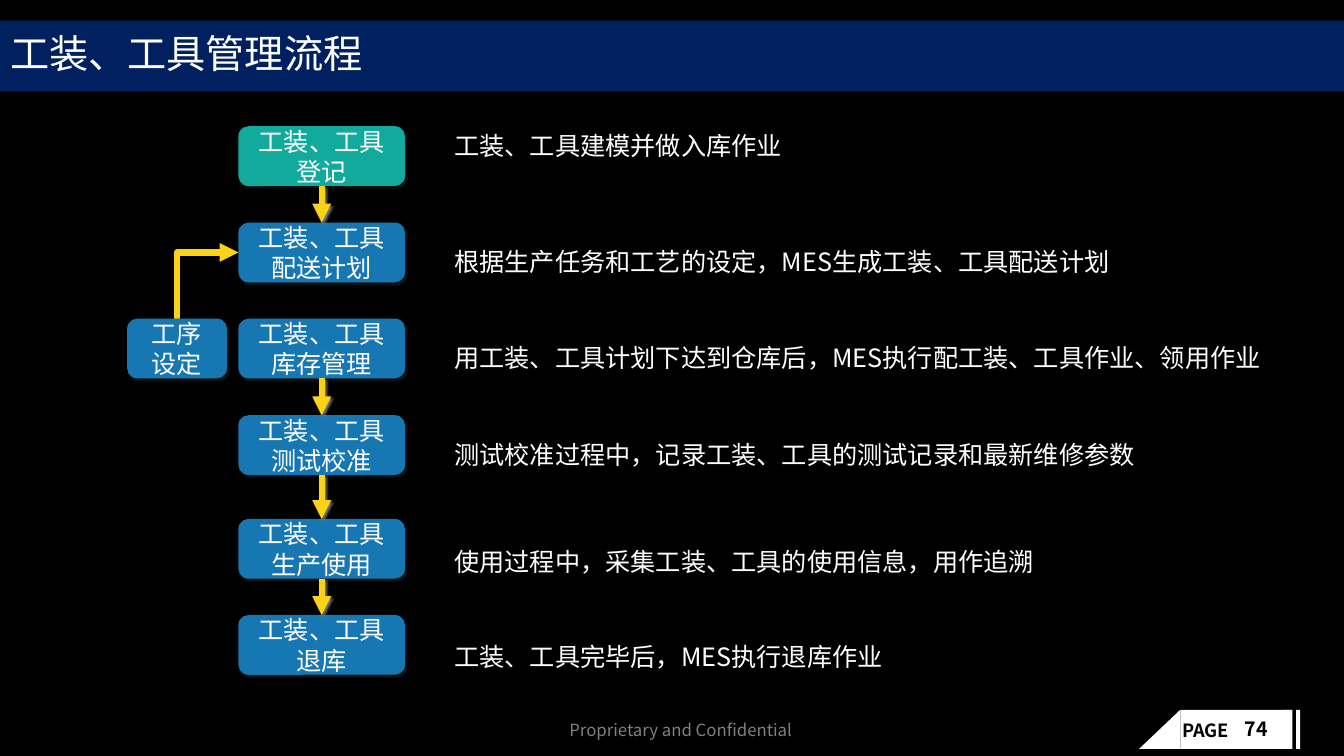
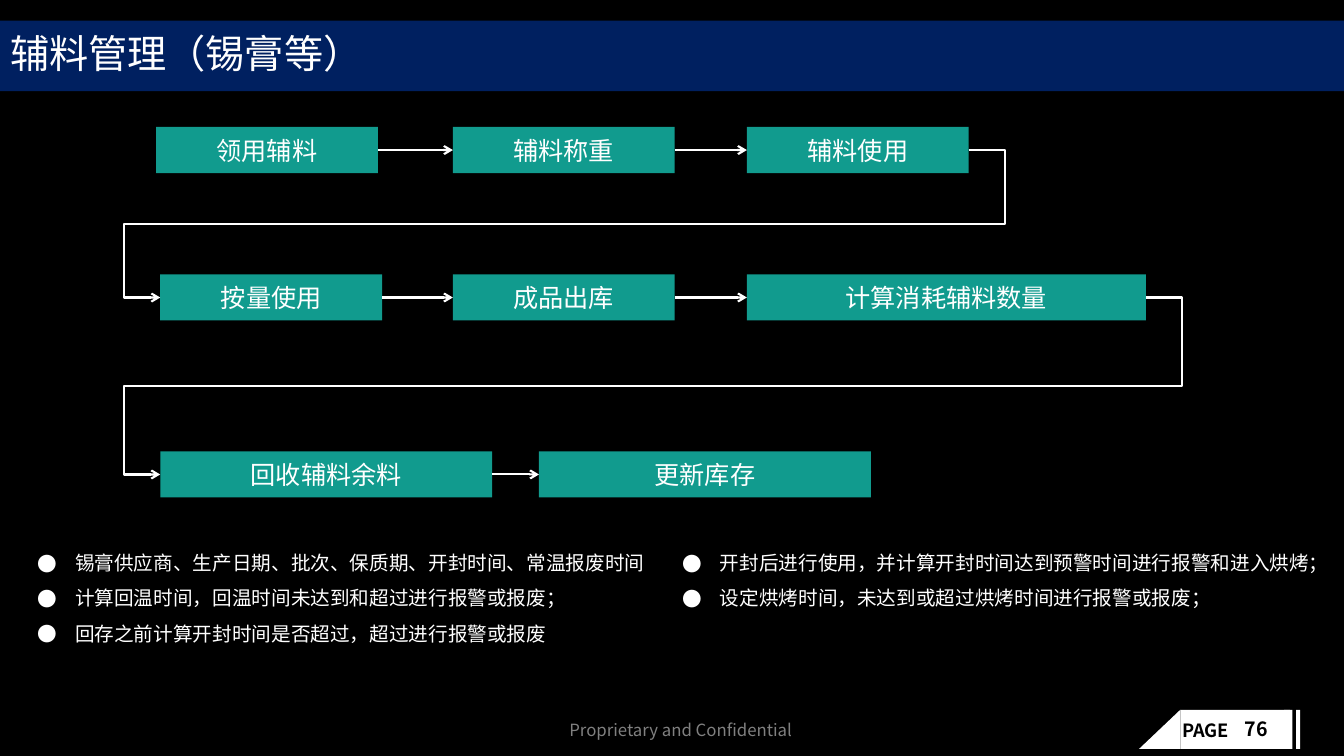
import pptx
import pptx.util
import pptx.dml.color
import pptx.enum.shapes
import pptx.enum.text
import pptx.oxml
import pptx.oxml.ns
from lxml import etree

Pt = pptx.util.Pt
RGB = pptx.dml.color.RGBColor
SHAPE = pptx.enum.shapes.MSO_SHAPE
LINE = pptx.enum.shapes.MSO_CONNECTOR
ANCHOR = pptx.enum.text.MSO_ANCHOR
ALIGN = pptx.enum.text.PP_ALIGN
qn = pptx.oxml.ns.qn

FONT = "Noto Sans CJK SC"
BLACK = RGB(0x00, 0x00, 0x00)
WHITE = RGB(0xFF, 0xFF, 0xFF)
GRAY = RGB(0x80, 0x80, 0x80)
NAVY = RGB(0x00, 0x20, 0x60)
GREEN = RGB(0x12, 0xAA, 0x9C)
TEAL = RGB(0x11, 0x9B, 0x8E)
BLUE = RGB(0x16, 0x77, 0xB3)
YELLOW = RGB(0xFC, 0xD2, 0x17)
NODE_SHADOW = RGB(0x18, 0x17, 0x17)

FOOTER_BLOCKS = [
    (SHAPE.RECTANGLE, 843.1, 78.5),
    (SHAPE.RIGHT_TRIANGLE, 813.6, 29.5),
    (SHAPE.RECTANGLE, 917.3, 5.8),
    (SHAPE.RECTANGLE, 925.9, 2.9),
]

TOOL_TITLE, TOOL_PAGE = "工装、工具管理流程", "74"
TOOL_STEPS = [
    ("工装、工具登记", 90.2, "工装、工具建模并做入库作业", 92.2, 0.9),
    ("工装、工具配送计划", 159, "根据生产任务和工艺的设定，MES生成工装、工具配送计划", 161.3, 1.5),
    ("工装、工具库存管理", 227.6, "用工装、工具计划下达到仓库后，MES执行配工装、工具作业、领用作业", 229.9, 1.5),
    ("工装、工具测试校准", 296.6, "测试校准过程中，记录工装、工具的测试记录和最新维修参数", 299.5, 1.5),
    ("工装、工具生产使用", 370.7, "使用过程中，采集工装、工具的使用信息，用作追溯", 375.8, 1.5),
    ("工装、工具退库", 439.3, "工装、工具完毕后，MES执行退库作业", 443.5, 1.5),
]
STEP_LINKS = [(0, 1), (2, 3), (3, 4), (4, 5)]
STEP_X, STEP_W, STEP_H = 170.3, 119, 42.7
PROCESS_SETUP = ["工序", "设定"]

MATERIAL_TITLE, MATERIAL_PAGE = "辅料管理（锡膏等）", "76"
MATERIAL_ROWS = [
    (90.7, [("领用辅料", 111.5, 158.5), ("辅料称重", 323.5, 158.5), ("辅料使用", 533.5, 158.5)]),
    (196, [("按量使用", 114.5, 158.5), ("成品出库", 323.5, 158.5), ("计算消耗辅料数量", 533.5, 285)]),
    (322.4, [("回收辅料余料", 114.5, 237), ("更新库存", 385, 237)]),
]
ROW_H, TURN = 33, 26.2
MATERIAL_LISTS = [
    (19.4, 448.6, 111.6, [
        "锡膏供应商、生产日期、批次、保质期、开封时间、常温报废时间",
        "计算回温时间，回温时间未达到和超过进行报警或报废；",
        "回存之前计算开封时间是否超过，超过进行报警或报废",
    ]),
    (480, 480, 55.4, [
        "开封后进行使用，并计算开封时间达到预警时间进行报警和进入烘烤；",
        "设定烘烤时间，未达到或超过烘烤时间进行报警或报废；",
    ]),
]


def add_effects(shape, shadow=None):
    spPr = shape.element.spPr
    for old in spPr.findall(qn("a:effectLst")):
        spPr.remove(old)
    effects = etree.SubElement(spPr, qn("a:effectLst"))
    if shadow is not None:
        outer = etree.SubElement(effects, qn("a:outerShdw"), blurRad=str(Pt(2)),
                                 dist=str(Pt(2)), dir="2700000", algn="ctr", rotWithShape="0")
        etree.SubElement(outer, qn("a:srgbClr"), val=str(shadow))


def add_run(p, text, size, color=WHITE, bold=False):
    r = p.add_run()
    r.text = text
    r.font.size = Pt(size)
    r.font.bold = bold
    r.font.color.rgb = color
    r.font.name = FONT
    etree.SubElement(r.font._element, qn("a:ea"), typeface=FONT)


def paragraphs(tf, count):
    return [tf.paragraphs[0]] + [tf.add_paragraph() for _ in range(count - 1)]


def place(shape, x, y, w, h):
    shape.left, shape.top, shape.width, shape.height = Pt(x), Pt(y), Pt(w), Pt(h)


def add_box(slide, kind, x, y, w, h, fill, lines=(), shadow=None):
    sp = slide.shapes.add_shape(kind, Pt(x), Pt(y), Pt(w), Pt(h))
    sp.fill.solid()
    sp.fill.fore_color.rgb = fill
    sp.line.fill.background()
    add_effects(sp, shadow)
    tf = sp.text_frame
    tf.word_wrap = True
    tf.vertical_anchor = ANCHOR.MIDDLE
    for p, text in zip(paragraphs(tf, len(lines)), lines):
        p.alignment = ALIGN.CENTER
        add_run(p, text, 18)
    return sp


def add_text(slide, x, y, w, h, text, size, color=WHITE, bold=False, wrap=True, spacing=1.0):
    sp = slide.shapes.add_textbox(Pt(x), Pt(y), Pt(w), Pt(h))
    sp.text_frame.word_wrap = wrap
    p = sp.text_frame.paragraphs[0]
    p.line_spacing = spacing
    add_run(p, text, size, color, bold)
    return sp


def style_arrow(c, color, width, head, shadow=None):
    c.line.color.rgb = color
    c.line.width = Pt(width)
    etree.SubElement(c.line._get_or_add_ln(), qn("a:tailEnd"), type=head)
    add_effects(c, shadow)


def join(slide, start, start_side, end, end_side):
    c = slide.shapes.add_connector(LINE.STRAIGHT, 0, 0, 0, 0)
    c.begin_connect(start, start_side)
    c.end_connect(end, end_side)
    return c


def add_elbow(slide, preset, x1, y1, x2, y2, adjustments=()):
    c = slide.shapes.add_connector(LINE.ELBOW, *(Pt(v) for v in (x1, y1, x2, y2)))
    geom = c.element.spPr.find(qn("a:prstGeom"))
    geom.set("prst", preset)
    guides = geom.find(qn("a:avLst"))
    for n, value in enumerate(adjustments, 1):
        etree.SubElement(guides, qn("a:gd"), name=f"adj{n}", fmla=f"val {round(value * 100000)}")
    return c


def add_up_right(slide, x1, y1, x2, y2):
    cx, cy = (x1 + x2) / 2, (y1 + y2) / 2
    half_w, half_h = (y1 - y2) / 2, (x2 - x1) / 2
    c = add_elbow(slide, "bentConnector2", cx + half_w, cy + half_h, cx - half_w, cy - half_h)
    c.element.spPr.find(qn("a:xfrm")).set("rot", "5400000")
    return c


def add_row_turn(slide, x1, y1, x2, y2):
    out = TURN / (x1 - x2)
    return add_elbow(slide, "bentConnector5", x1, y1, x2, y2, (-out, 0.5, 1 + out))


def fill_master(prs, slide):
    master = prs.slide_master
    master.background.fill.solid()
    master.background.fill.fore_color.rgb = BLACK
    parts = [add_box(slide, kind, x, 507, w, 28, WHITE) for kind, x, w in FOOTER_BLOCKS]
    parts[1].element.spPr.find(qn("a:xfrm")).set("flipH", "1")
    parts.append(add_text(slide, 837.4, 510.5, 52.6, 23, "PAGE", 13, BLACK, True, False))
    parts.append(add_text(slide, 399.6, 510.5, 184.3, 21.6,
                          "Proprietary and Confidential", 12, GRAY, wrap=False))
    for n, sp in enumerate(parts, 100):
        sp.element.nvSpPr.cNvPr.set("id", str(n))
        master.shapes.element.append(sp.element)


def add_heading(slide, title, page):
    sp = slide.shapes.title
    place(sp, 0, 14.8, 960, 50.4)
    sp.fill.solid()
    sp.fill.fore_color.rgb = NAVY
    tf = sp.text_frame
    tf.auto_size = pptx.enum.text.MSO_AUTO_SIZE.NONE
    tf.vertical_anchor = ANCHOR.MIDDLE
    p = tf.paragraphs[0]
    p.alignment = ALIGN.LEFT
    p.line_spacing = 0.9
    add_run(p, title, 28)
    add_text(slide, 882, 510.5, 41.8, 23, page, 14, BLACK, True, spacing=0.9)


def add_list(sp, x, w, h, items):
    place(sp, x, 381.6, w, h)
    tf = sp.text_frame
    tf.auto_size = pptx.enum.text.MSO_AUTO_SIZE.NONE
    for p, text in zip(paragraphs(tf, len(items)), items):
        pPr = p._p.get_or_add_pPr()
        pPr.set("marL", str(Pt(27)))
        pPr.set("indent", str(-Pt(27)))
        etree.SubElement(pPr, qn("a:buFont"), typeface=FONT)
        etree.SubElement(pPr, qn("a:buChar"), char="●")
        p.line_spacing = 1.5
        p.space_before = Pt(0)
        add_run(p, text, 14)


def build_tools(slide):
    add_heading(slide, TOOL_TITLE, TOOL_PAGE)
    nodes = []
    for n, (label, y, note, note_y, spacing) in enumerate(TOOL_STEPS):
        nodes.append(add_box(slide, SHAPE.ROUNDED_RECTANGLE, STEP_X, y, STEP_W, STEP_H,
                             BLUE if n else GREEN, [label], NODE_SHADOW))
        add_text(slide, 317.5, note_y, 623, 34, note, 18, spacing=spacing)
    for a, b in STEP_LINKS:
        style_arrow(join(slide, nodes[a], 2, nodes[b], 0), YELLOW, 4.5, "triangle", GRAY)
    setup_x, setup_w, setup_y = 90.8, 71.3, TOOL_STEPS[2][1]
    elbow = add_up_right(slide, setup_x + setup_w / 2, setup_y,
                         STEP_X, TOOL_STEPS[1][1] + STEP_H / 2)
    style_arrow(elbow, YELLOW, 4.5, "triangle")
    add_box(slide, SHAPE.ROUNDED_RECTANGLE, setup_x, setup_y, setup_w, STEP_H,
            BLUE, PROCESS_SETUP, NODE_SHADOW)


def build_materials(slide):
    add_heading(slide, MATERIAL_TITLE, MATERIAL_PAGE)
    for sp, spec in zip(list(slide.placeholders)[1:], MATERIAL_LISTS):
        add_list(sp, *spec)
    arrows = []
    for y, row in MATERIAL_ROWS:
        nodes = [add_box(slide, SHAPE.RECTANGLE, x, y, w, ROW_H, TEAL, [label])
                 for label, x, w in row]
        arrows += [join(slide, a, 3, b, 1) for a, b in zip(nodes, nodes[1:])]
    for (y1, row1), (y2, row2) in zip(MATERIAL_ROWS, MATERIAL_ROWS[1:]):
        _, last_x, last_w = row1[-1]
        arrows.append(add_row_turn(slide, last_x + last_w, y1 + ROW_H / 2,
                                   row2[0][1], y2 + ROW_H / 2))
    for c in arrows:
        style_arrow(c, WHITE, 1.5, "arrow")


def main():
    prs = pptx.Presentation()
    prs.slide_width, prs.slide_height = Pt(960), Pt(540)
    tools = prs.slides.add_slide(prs.slide_layouts[5])
    fill_master(prs, tools)
    build_tools(tools)
    build_materials(prs.slides.add_slide(prs.slide_layouts[3]))
    prs.save("out.pptx")


if __name__ == "__main__":
    main()
